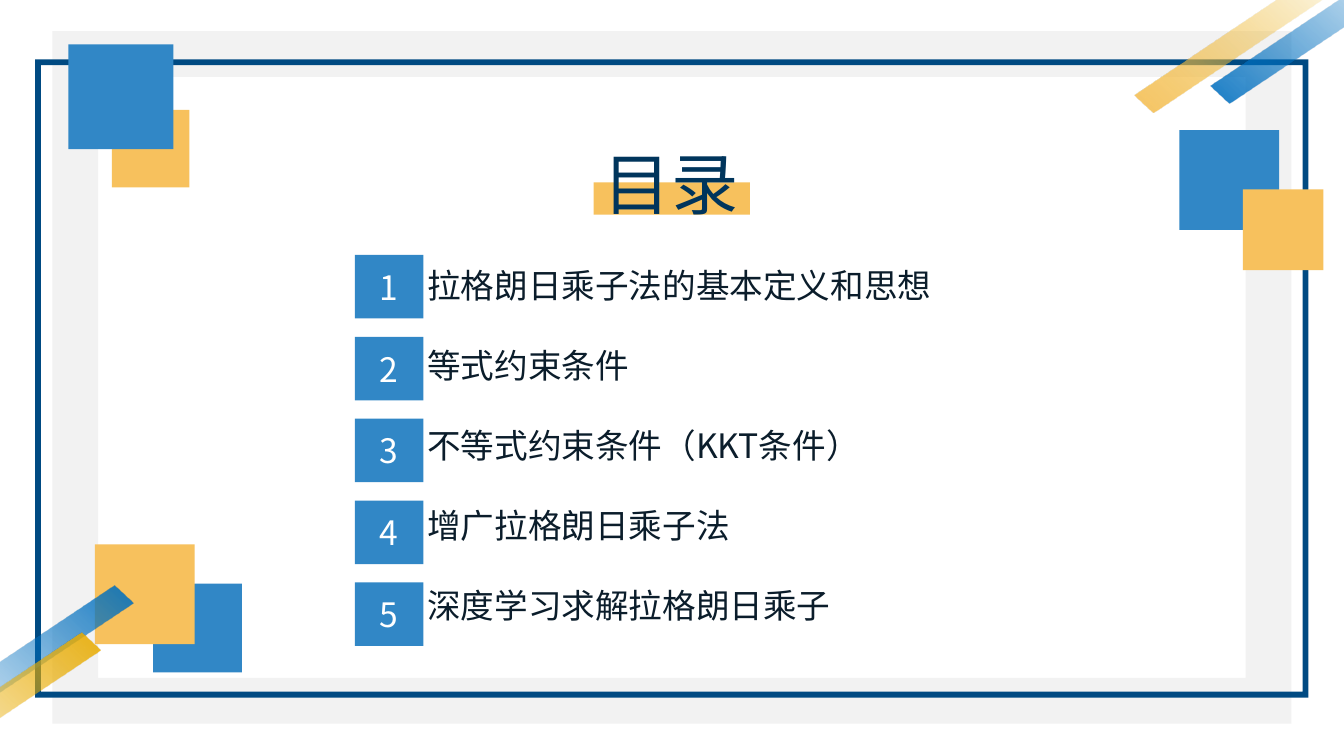
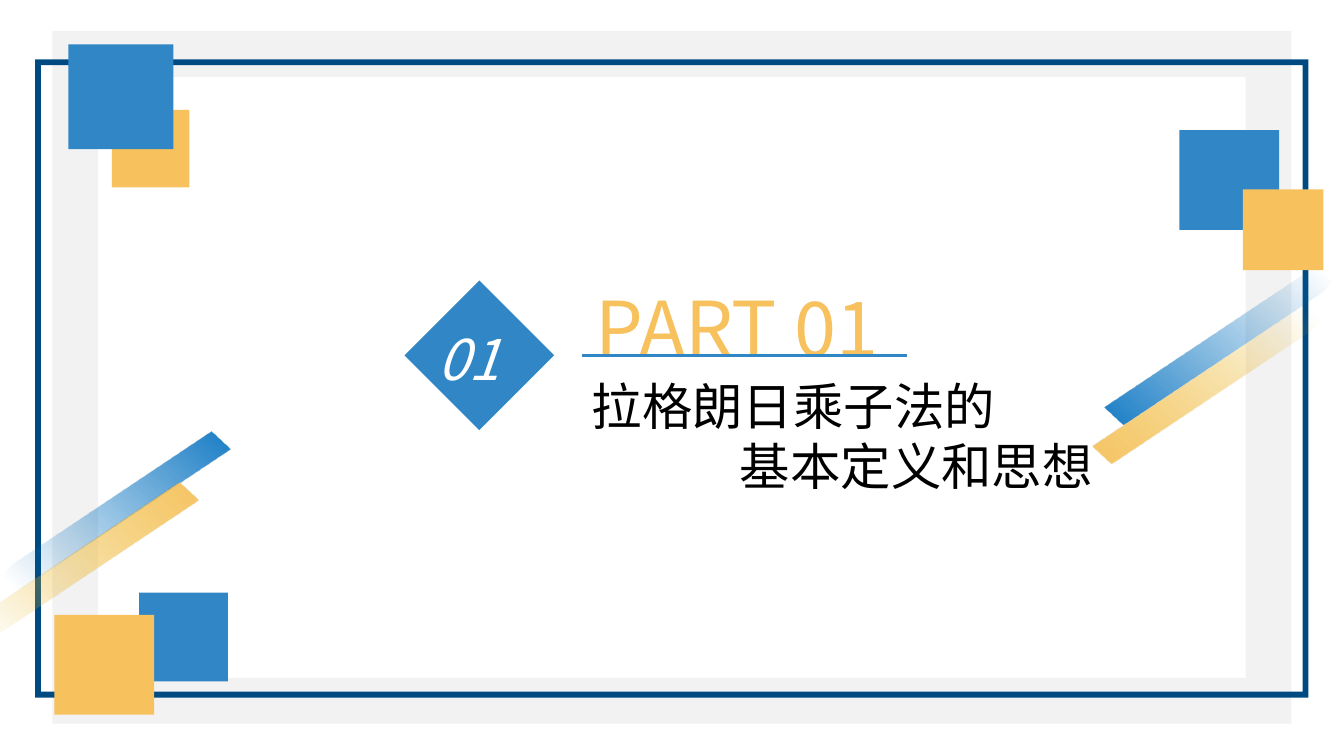
from dataclasses import dataclass
from lxml import etree
from pptx import Presentation
from pptx.dml.color import RGBColor
from pptx.enum.shapes import MSO_CONNECTOR as Connector, MSO_SHAPE as Shape
from pptx.enum.text import MSO_ANCHOR as Anchor, MSO_AUTO_SIZE as AutoSize, PP_ALIGN as Align
from pptx.oxml import parse_xml
from pptx.oxml.ns import nsdecls, qn
from pptx.util import Inches, Pt

COLORS = {
    "blue": "3187C6", "yellow": "F7C15D", "gray": "F2F2F2", "navy": "004A82",
    "stripe_blue": "0070C0", "gold": "E9AC01", "title": "00355C",
    "ink": "0B1D2B", "black": "000000", "white": "FFFFFF",
}
FONT = "Noto Sans CJK SC"
CELL = Inches(0.1)
LINE_RATIO = 1.19


@dataclass
class Box:
    left: float
    top: float
    width: float
    height: float

    def inner(self, column, row, columns, rows):
        return Box(self.left + column, self.top + row, columns, rows)

    def emu(self):
        return [round(value * CELL) for value in (self.left, self.top, self.width, self.height)]


SLIDE = Box(0, 0, 133.33, 75)


def color(name):
    return RGBColor.from_string(COLORS[name])


def add_block(page, box, fill, kind=Shape.RECTANGLE, adjust=None, rotation=0):
    block = page.shapes.add_shape(kind, *box.emu())
    block.shadow.inherit = False
    block.line.fill.background()
    block.fill.solid()
    block.fill.fore_color.rgb = color(fill)
    block.rotation = rotation
    if adjust is not None:
        block.adjustments[0] = adjust
    return block


def add_stripe(page, box, start, end, rotation):
    stripe = add_block(page, box, start, Shape.DIAGONAL_STRIPE, 0.678, rotation)
    properties = stripe._element.spPr
    properties.find(qn("a:xfrm")).set("flipH", "1")
    gradient = parse_xml(
        f'<a:gradFill {nsdecls("a")} rotWithShape="1"><a:gsLst>'
        f'<a:gs pos="0"><a:srgbClr val="{COLORS[start]}"/></a:gs>'
        f'<a:gs pos="68000"><a:srgbClr val="{COLORS[end]}"><a:alpha val="0"/></a:srgbClr></a:gs>'
        '</a:gsLst><a:lin ang="0" scaled="0"/></a:gradFill>'
    )
    properties.replace(properties.find(qn("a:solidFill")), gradient)


def write(shape, lines, size, fill, aligns=(Align.LEFT,), gap=0, italic=False,
          anchor=Anchor.TOP, exact=True):
    frame = shape.text_frame
    settings = {"word_wrap": True, "auto_size": AutoSize.NONE, "vertical_anchor": anchor}
    for name, value in settings.items():
        setattr(frame, name, value)
    for index, line in enumerate(lines):
        para = frame.add_paragraph() if index else frame.paragraphs[0]
        para.alignment = aligns[index % len(aligns)]
        para.space_before = Pt(gap if index else 0)
        if exact:
            para.line_spacing = Pt(round(size * LINE_RATIO, 1))
        span = para.add_run()
        span.text = line
        formats = {"size": Pt(size), "name": FONT, "italic": italic, "bold": False}
        for name, value in formats.items():
            setattr(span.font, name, value)
        span.font.color.rgb = color(fill)
        east_asian = etree.SubElement(span.font._element, qn("a:ea"))
        east_asian.set("typeface", FONT)


def add_text(page, box, lines, size, fill, **options):
    write(page.shapes.add_textbox(*box.emu()), lines, size, fill, **options)


def place_title(page, box, lines, size, fill, **options):
    title = page.shapes.title
    title.left, title.top, title.width, title.height = box.emu()
    page.shapes._spTree.append(title._element)
    write(title, lines, size, fill, **options)


def add_backdrop(page, box, low_blue, low_yellow, stripes):
    add_block(page, box.inner(5.2, 3.1, 122.9, 68.7), "gray", Shape.FRAME, 0.066)
    add_block(page, box.inner(3.5, 5.9, 126.3, 63.3), "navy", Shape.FRAME, 0.009)
    squares = [
        (117, 12.9, 9.9, "blue"), (11.1, 10.9, 7.7, "yellow"), (*low_blue, 8.8, "blue"),
        (6.8, 4.4, 10.4, "blue"), (*low_yellow, 9.9, "yellow"),
    ]
    for column, row, side, fill in squares:
        add_block(page, box.inner(column, row, side, side), fill)
    for column, row, start, end in stripes:
        rotation = 312.9 if column < box.width / 2 else 132.9
        add_stripe(page, box.inner(column, row, 34, 8.1), start, end, rotation)
    add_block(page, box.inner(123.3, 18.8, 8, 8), "yellow")


def add_heading(page, box, text):
    add_block(page, box.inner(0, 5.2, box.width, 3.2), "yellow")
    place_title(page, box.inner(0, 0.8, box.width, box.height), [text], 48, "title")


def add_agenda(page, box, topics):
    pitch, badge_width, badge_height = 8.12, 6.8, 6.3
    add_text(page, box.inner(6.2, 0.5, box.width - 6.2, box.height), topics, 24, "ink",
             gap=24 * LINE_RATIO)
    for index in range(len(topics)):
        badge = add_block(page, box.inner(0, index * pitch, badge_width, badge_height), "blue")
        write(badge, [str(index + 1)], 24, "white", aligns=(Align.CENTER,),
              anchor=Anchor.MIDDLE, exact=False)


def add_section_mark(page, box, number):
    add_block(page, box.inner(0, 0, 10.5, 10.5), "blue", rotation=45)
    add_text(page, box.inner(0.1, 1.8, 9, 7.7), [number], 40, "white", italic=True)


def add_section_heading(page, box, label, lines):
    place_title(page, box.inner(0, 10.05, box.width, 13.1), lines, 36, "black",
                aligns=(Align.LEFT, Align.RIGHT))
    add_text(page, box.inner(0.4, 0.7, 31.6, 10.1), [label], 54, "yellow")
    left, top, width, _ = box.inner(0, 8.6, 32.3, 0).emu()
    rule = page.shapes.add_connector(Connector.STRAIGHT, left, top, left + width, top)
    rule.line.color.rgb = color("blue")
    rule.line.width = Pt(2)
    etree.SubElement(rule._element.spPr, qn("a:effectLst"))


def add_page(deck):
    return deck.slides.add_slide(deck.slide_layouts.get_by_name("Title Only"))


def build_contents(deck):
    page = add_page(deck)
    add_backdrop(page, SLIDE, (15.2, 57.9), (9.4, 54), [
        (-18.3, 65.5, "stripe_blue", "stripe_blue"), (-21.6, 70.2, "gold", "gold"),
        (117.6, -5.3, "stripe_blue", "stripe_blue"), (110.1, -4.4, "yellow", "gold"),
    ])
    add_heading(page, SLIDE.inner(58.9, 12.9, 15.5, 9.1), "目录")
    add_agenda(page, SLIDE.inner(35.2, 25.3, 66, 45.4), [
        "拉格朗日乘子法的基本定义和思想", "等式约束条件", "不等式约束条件（KKT条件）",
        "增广拉格朗日乘子法", "深度学习求解拉格朗日乘子",
    ])


def build_section(deck):
    page = add_page(deck)
    add_backdrop(page, SLIDE, (13.8, 58.8), (5.4, 61), [
        (-8.7, 50.2, "stripe_blue", "stripe_blue"), (-11.9, 55.3, "yellow", "gold"),
        (107.1, 26.6, "stripe_blue", "stripe_blue"), (105.9, 30.5, "yellow", "gold"),
    ])
    add_section_mark(page, SLIDE.inner(42.3, 30, 10.5, 10.5), "01")
    add_section_heading(page, SLIDE.inner(57.7, 26.7, 51.7, 23), "PART 01",
                        ["拉格朗日乘子法的", "基本定义和思想"])


def main():
    deck = Presentation()
    deck.slide_width, deck.slide_height = SLIDE.emu()[2:]
    build_contents(deck)
    build_section(deck)
    deck.save("out.pptx")


if __name__ == "__main__":
    main()
